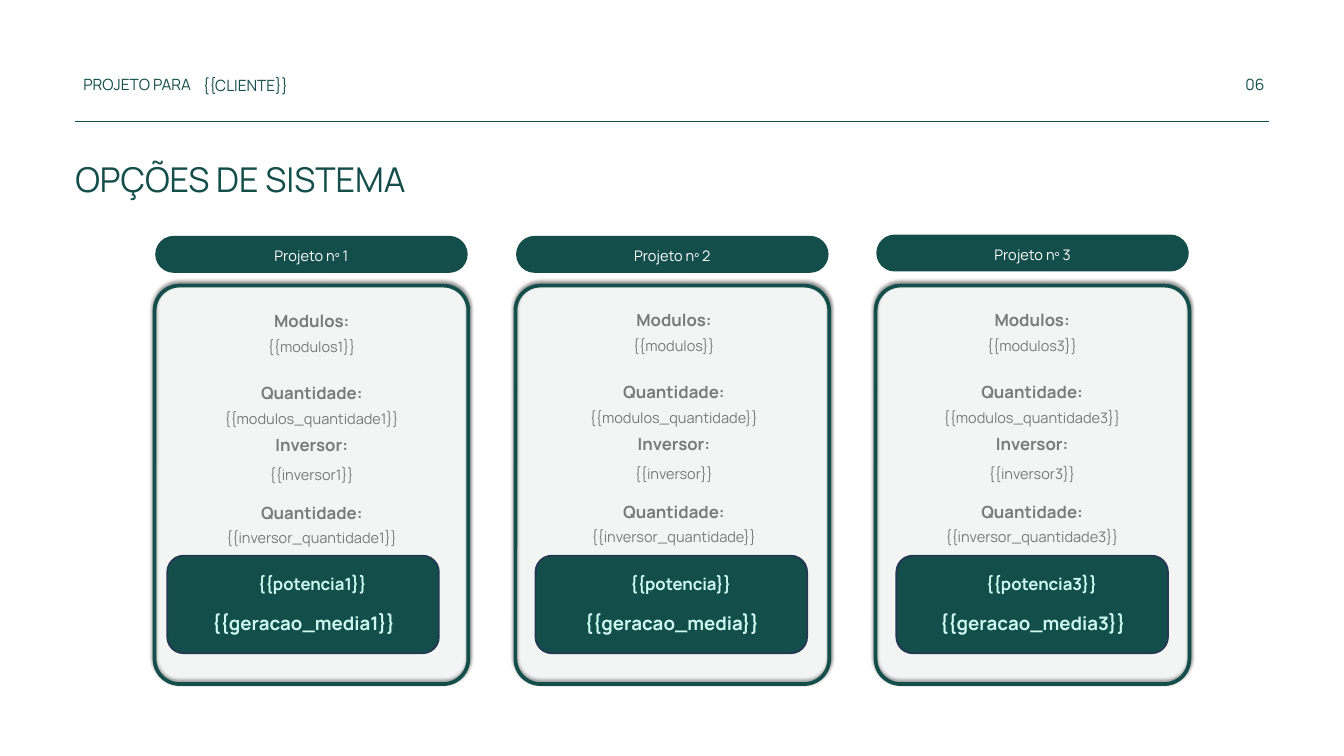
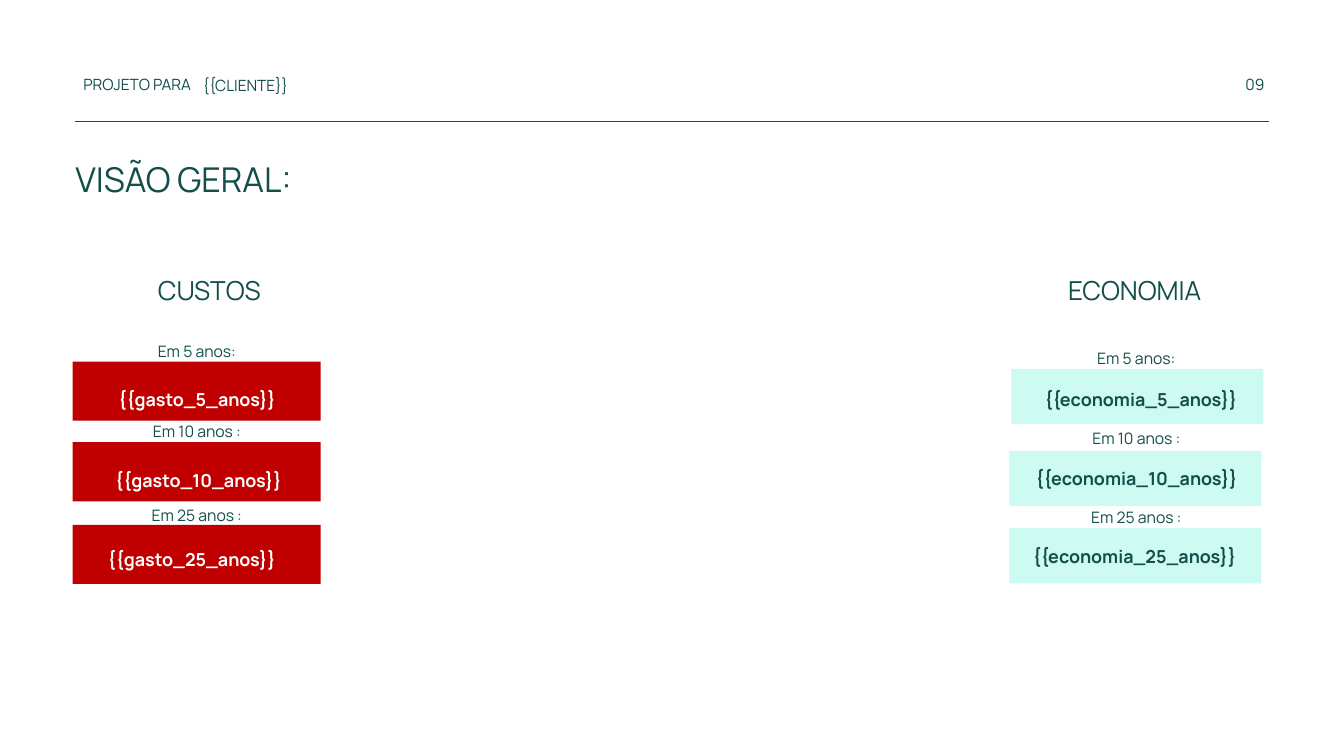
from lxml import etree
from pptx import Presentation
from pptx import util as u
from pptx.dml.color import RGBColor
from pptx.enum import shapes, text
from pptx.oxml import ns

PX = 9144  # 100 px to the inch
FONT = "Manrope"
TEAL = RGBColor(0x13, 0x4E, 0x4A)
MINT = RGBColor(0xCD, 0xFB, 0xF1)
NAVY = RGBColor(0x23, 0x39, 0x53)
GREY = RGBColor(0x7A, 0x7A, 0x7A)
RED = RGBColor(0xC0, 0x00, 0x00)
WHITE = RGBColor(0xFF, 0xFF, 0xFF)
BLACK = RGBColor(0x00, 0x00, 0x00)
RECT = shapes.MSO_SHAPE.RECTANGLE
ROUND = shapes.MSO_SHAPE.ROUNDED_RECTANGLE
LEFT, CENTER = text.PP_ALIGN.LEFT, text.PP_ALIGN.CENTER
TOP, MIDDLE = text.MSO_ANCHOR.TOP, text.MSO_ANCHOR.MIDDLE

# Content: system options
OPTIONS = [
    # title, field suffix, card x, pill y, text x, power box x, text shift
    dict(title="Projeto nº 1", suffix="1", card=230, pill=351, text=262, power=249, shift=0),
    dict(title="Projeto nº 2", suffix="", card=767, pill=351, text=801, power=797, shift=-2),
    dict(title="Projeto nº 3", suffix="3", card=1303, pill=349, text=1334, power=1334, shift=-2),
]
SPECS = [  # label, label y, field, field y
    ("Modulos:", 462, "modulos", 499),
    ("Quantidade:", 569, "modulos_quantidade", 606),
    ("Inversor:", 647, "inversor", 689),
    ("Quantidade:", 748, "inversor_quantidade", 783),
]

# Content: overview
PERIODS = ["Em 5 anos:", "Em 10 anos :", "Em 25 anos :"]
TOTALS = [
    dict(title="CUSTOS", title_x=120, fill=RED, color=WHITE, size=(369, 88), leading=38.2,
         label_x=108, label_y=(504, 623, 748), boxes=[(108, 538), (108, 658), (108, 781)],
         values=[("{{gasto_5_anos}}", 79, 557, 429), ("{{gasto_10_anos}}", 81, 678, 429),
                 ("{{gasto_25_anos}}", 71, 796, 429)]),
    dict(title="ECONOMIA", title_x=1497, fill=MINT, color=TEAL, size=(375, 82), leading=26.9,
         label_x=1506, label_y=(515, 633, 751), boxes=[(1505, 549), (1502, 671), (1502, 786)],
         values=[("{{economia_5_anos}}", 1537, 573, 322), ("{{economia_10_anos}}", 1522, 691, 339),
                 ("{{economia_25_anos}}", 1518, 806, 341)]),
]


def emu(*lengths):
    return [n * PX for n in lengths]


def write(sp, words, size=15.6, color=TEAL, bold=False, align=CENTER,
          leading=None, anchor=TOP, pad=0):
    """Put one formatted paragraph into a shape."""
    tf = sp.text_frame
    tf.word_wrap = True
    tf.vertical_anchor = anchor
    tf.margin_left = tf.margin_right = tf.margin_top = tf.margin_bottom = pad * PX
    p = tf.paragraphs[0]
    p.alignment = align
    if leading:
        p.line_spacing = u.Pt(leading)
    r = p.add_run()
    r.text = words
    r.font.name, r.font.size, r.font.bold = FONT, u.Pt(size), bold
    r.font.color.rgb = color


def add_text(s, words, x, y, w, h, **fmt):
    sp = s.shapes.add_textbox(*emu(x, y, w, h))
    write(sp, words, **fmt)
    sp.text_frame.auto_size = text.MSO_AUTO_SIZE.SHAPE_TO_FIT_TEXT


def add_box(s, kind, x, y, w, h, fill, line=None, weight=0, radius=None):
    sp = s.shapes.add_shape(kind, *emu(x, y, w, h))
    sp.shadow.inherit = False
    sp.fill.solid()
    sp.fill.fore_color.rgb = fill
    if line is None:
        sp.line.fill.background()
    else:
        sp.line.color.rgb = line
        sp.line.width = u.Pt(weight)
    if radius is not None:
        sp.adjustments[0] = radius
    return sp


def set_alpha(clr, percent):
    etree.SubElement(clr, ns.qn("a:alpha")).set("val", str(percent * 1000))


def add_card(s, x):
    """Tinted see-through panel with a shadow above it."""
    sp = add_box(s, ROUND, x, 425, 467, 593, MINT, TEAL, 4, 0.08)
    props = sp.element.spPr
    set_alpha(props.find(ns.qn("a:solidFill"))[0], 7)
    shadow = etree.SubElement(props.find(ns.qn("a:effectLst")), ns.qn("a:outerShdw"),
                              blurRad=str(u.Pt(4)), dist=str(u.Pt(3)),
                              dir=str(270 * 60000), rotWithShape="0")
    set_alpha(etree.SubElement(shadow, ns.qn("a:srgbClr"), val=str(BLACK)), 56)


def add_slide(prs, title, number):
    """Slide with the shared header, rule and title."""
    s = prs.slides.add_slide(prs.slide_layouts[5])
    sp = s.shapes.title
    sp.left, sp.top, sp.width, sp.height = emu(112, 225, 1775, 70)
    write(sp, title, size=36.6, align=LEFT, leading=51.3)
    rule = s.shapes.add_connector(shapes.MSO_CONNECTOR.STRAIGHT, *emu(112, 180, 1888, 180))
    rule.line.color.rgb = TEAL
    rule.line.width = u.Pt(0.75)
    etree.SubElement(rule.element.spPr, ns.qn("a:effectLst"))
    for words, x, y, w, align in [("PROJETO PARA", 124, 107, 171, LEFT),
                                  ("{{CLIENTE}}", 302, 108, 396, LEFT),
                                  (number, 1848, 107, 39, CENTER)]:
        add_text(s, words, x, y, w, 32, size=16.6, align=align, leading=23.3)
    return s


def build_options(prs):
    s = add_slide(prs, "OPÇÕES DE SISTEMA", "06")
    for opt in OPTIONS:
        def field(name):
            return "{{" + name + opt["suffix"] + "}}"

        add_card(s, opt["card"])
        pill = add_box(s, ROUND, opt["card"] + 1, opt["pill"], 465, 55, TEAL, radius=0.5)
        write(pill, opt["title"], color=WHITE, leading=21.9, anchor=MIDDLE, pad=6)

        # Equipment
        for label, label_y, name, field_y in SPECS:
            add_text(s, label, opt["text"], label_y + opt["shift"], 404, 31,
                     size=18, color=GREY, bold=True, leading=21.9)
            add_text(s, field(name), opt["text"], field_y + opt["shift"], 404, 30,
                     color=GREY, leading=21.9)

        # Power and output
        x = opt["power"]
        add_box(s, ROUND, x, 827, 404, 145, TEAL, NAVY, 2)
        add_text(s, field("potencia"), x + 118, 831, 196, 48,
                 size=18, color=MINT, bold=True, leading=38.2)
        add_text(s, field("geracao_media"), x + 1, 906, 404, 44,
                 size=20, color=MINT, bold=True, pad=5)


def build_overview(prs):
    s = add_slide(prs, "VISÃO GERAL:", "09")
    for col in TOTALS:
        add_text(s, col["title"], col["title_x"], 401, 383, 56, size=28, leading=39.2)
        rows = zip(PERIODS, col["label_y"], col["boxes"], col["values"])
        for period, label_y, (x, y), (value, value_x, value_y, value_w) in rows:
            add_box(s, RECT, x, y, *col["size"], col["fill"])
            add_text(s, period, col["label_x"], label_y, 370, 34, size=16.9, leading=23.6)
            add_text(s, value, value_x, value_y, value_w, 37, size=19.2,
                     color=col["color"], bold=True, leading=col["leading"])


def main():
    prs = Presentation()
    prs.slide_width, prs.slide_height = emu(2000, 1125)
    build_options(prs)
    build_overview(prs)
    prs.save("out.pptx")


if __name__ == "__main__":
    main()
